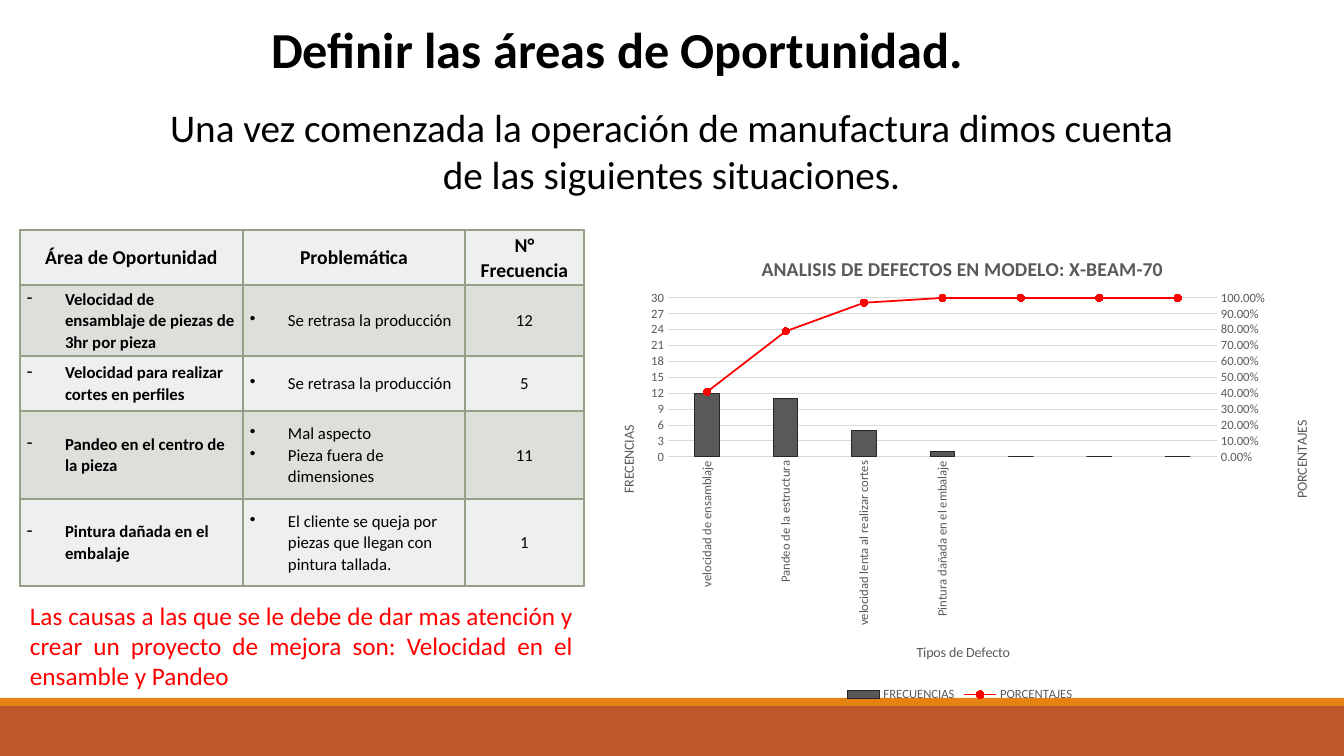
from copy import deepcopy

from lxml import etree
from pptx import Presentation, util as u
from pptx.chart.data import CategoryChartData
from pptx.dml.color import RGBColor
from pptx.enum import chart as ch, shapes, text
from pptx.oxml import parse_xml
from pptx.oxml.ns import nsdecls, qn

BLACK, RED, GRAY, PALE = "000000", "FF0000", "595959", "D9D9D9"
CENTER, JUSTIFY = text.PP_ALIGN.CENTER, text.PP_ALIGN.JUSTIFY
CHART_BOX = (595, 230, 730, 479)
HEADINGS = ["Área de Oportunidad", "Problemática", "N° Frecuencia"]
PROBLEMS = [
    ("Velocidad de ensamblaje de piezas de 3hr por pieza", ["Se retrasa la producción"], "12"),
    ("Velocidad para realizar cortes en perfiles", ["Se retrasa la producción"], "5"),
    ("Pandeo en el centro de la pieza", ["Mal aspecto", "Pieza fuera de dimensiones"], "11"),
    ("Pintura dañada en el embalaje",
     ["El cliente se queja por piezas que llegan con pintura tallada."], "1"),
]
DEFECTS = ["velocidad de ensamblaje", "Pandeo de la estructura",
           "velocidad lenta al realizar cortes", "Pintura dañada en el embalaje", "", "", ""]
COUNTS = [12, 11, 5, 1, 0, 0, 0]
SHARES = [0.41, 0.79, 0.97, 1, 1, 1, 1]


def px(value):
    return u.Emu(round(value * 914400 / 100.8))


def rgb(value):
    return RGBColor.from_string(value)


def set_fill(fill, color):
    fill.solid()
    fill.fore_color.rgb = rgb(color)


def set_line(line, color, points):
    line.color.rgb, line.width = rgb(color), u.Pt(points)


def drop(parent, tag):
    for child in parent.findall(qn(tag)):
        parent.remove(child)


def place(element, left, top, *size):
    """Pin a chart part to slide coordinates given in px."""
    x0, y0, width, height = CHART_BOX
    shares = zip("xywh", (left - x0, top - y0, *size), (width, height) * 2)
    marks = [("xMode", "edge"), ("yMode", "edge")]
    marks += [(name, round(part / whole, 4)) for name, part, whole in shares]
    drop(element, "c:layout")
    layout = etree.Element(qn("c:layout"))
    if element.tag == qn("c:plotArea"):
        marks.insert(0, ("layoutTarget", "inner"))
        element.insert(0, layout)
    else:
        element.find(qn("c:overlay")).addprevious(layout)
    manual = etree.SubElement(layout, qn("c:manualLayout"))
    for name, value in marks:
        etree.SubElement(manual, qn("c:" + name)).set("val", str(value))


class Slide:
    def __init__(self, deck, font):
        self.page = deck.slides.add_slide(deck.slide_layouts[6])
        self.font = font

    def style(self, font, size, color, bold=False):
        font.name, font.size, font.bold = self.font, u.Pt(size), bold
        font.color.rgb = rgb(color)

    def run(self, para, words, size, color, bold=False):
        span = para.add_run()
        span.text = words
        self.style(span.font, size, color, bold)

    def band(self, top, height, color):
        area = map(px, (0, top, 1344, height))
        box = self.page.shapes.add_shape(shapes.MSO_SHAPE.RECTANGLE, *area)
        box.shadow.inherit = False
        set_fill(box.fill, color)
        box.line.fill.background()

    def textbox(self, area, words, size, color, align, bold=False):
        frame = self.page.shapes.add_textbox(*map(px, area)).text_frame
        frame.word_wrap = True
        frame.auto_size = text.MSO_AUTO_SIZE.SHAPE_TO_FIT_TEXT
        frame.paragraphs[0].alignment = align
        self.run(frame.paragraphs[0], words, size, color, bold)

    def cell(self, cell, lines, fill, size, bold=False, bullet=None):
        cell.vertical_anchor = text.MSO_ANCHOR.MIDDLE
        cell.margin_left = cell.margin_right = px(7)
        cell.margin_top = cell.margin_bottom = 0
        frame = cell.text_frame
        for number, words in enumerate(lines, 1):
            para = frame.paragraphs[0] if number == 1 else frame.add_paragraph()
            para.line_spacing = 1.05
            if number == len(lines) and bullet != "-":
                para.space_after = u.Pt(8)
            if bullet:
                props = para._p.get_or_add_pPr()
                props.set("marL", str(px(38)))
                props.set("indent", str(-px(38)))
                etree.SubElement(props, qn("a:buChar")).set("char", bullet)
            else:
                para.alignment = CENTER
            self.run(para, words, size, BLACK, bold)
        for side in "LRTB":
            cell._tc.get_or_add_tcPr().append(parse_xml(
                f'<a:ln{side} {nsdecls("a")} w="12700"><a:solidFill>'
                f'<a:srgbClr val="94A088"/></a:solidFill></a:ln{side}>'))
        set_fill(cell.fill, fill)

    def problem_table(self, area, widths, heights):
        table = self.page.shapes.add_table(len(heights), len(widths), *map(px, area)).table
        table.first_row = table.horz_banding = False
        for column, width in zip(table.columns, widths):
            column.width = px(width)
        for row, height in zip(table.rows, heights):
            row.height = px(height)
        fills = ["EEF0ED", "DCDFDA"]
        for column, heading in enumerate(HEADINGS):
            self.cell(table.cell(0, column), [heading], fills[0], 14, bold=True)
        for row, (name, issues, count) in enumerate(PROBLEMS, 1):
            self.cell(table.cell(row, 0), [name], fills[row % 2], 12, True, "-")
            self.cell(table.cell(row, 1), issues, fills[row % 2], 12, bullet="•")
            self.cell(table.cell(row, 2), [count], fills[row % 2], 12)

    def chart_title(self, title, words, size, left, top, bold=False, turn=0):
        self.run(title.text_frame.paragraphs[0], words, size, GRAY, bold)
        title._element.find(".//" + qn("a:bodyPr")).set("rot", str(turn * 60000))
        place(title._element, left, top)

    def pareto_chart(self):
        data = CategoryChartData()
        data.categories = DEFECTS
        data.add_series("FRECUENCIAS", COUNTS, "General")
        data.add_series("PORCENTAJES", SHARES, "0.00%")
        chart = self.page.shapes.add_chart(
            ch.XL_CHART_TYPE.COLUMN_CLUSTERED, *map(px, CHART_BOX), data).chart
        self.style(chart.font, 10, BLACK)
        self.chart_title(chart.chart_title, "ANALISIS DE DEFECTOS EN MODELO: X-BEAM-70",
                         14, 758, 252, bold=True)
        chart.has_legend = True
        chart.legend.position = ch.XL_LEGEND_POSITION.BOTTOM
        chart.legend.include_in_layout = False
        self.style(chart.legend.font, 9, GRAY)
        place(chart.legend._element, 842, 688, 236, 19)
        kinds, counts = chart.category_axis, chart.value_axis
        for axis in (kinds, counts):
            axis.major_tick_mark = axis.minor_tick_mark = ch.XL_TICK_MARK.NONE
            self.style(axis.tick_labels.font, 9, GRAY)
        set_line(kinds.format.line, PALE, 0.75)
        kinds._element.find(qn("c:txPr")).find(qn("a:bodyPr")).set("rot", "-5400000")
        counts.minimum_scale, counts.maximum_scale, counts.major_unit = 0, 30, 3
        counts.format.line.fill.background()
        set_line(counts.major_gridlines.format.line, PALE, 0.75)
        counts.tick_labels.number_format = "General"
        counts.tick_labels.number_format_is_linked = False
        self.chart_title(kinds.axis_title, "Tipos de Defecto", 10, 914, 641)
        self.chart_title(counts.axis_title, "FRECENCIAS", 10, 617, 423, turn=-90)
        bars = chart.plots[0]
        bars.gap_width, bars.vary_by_categories = 219, False
        set_fill(bars.series[0].format.fill, GRAY)
        set_line(bars.series[0].format.line, "262626", 0.75)
        self.add_percent_line(chart, bars, kinds._element, counts._element)
        place(bars._element.getparent(), 668, 298, 549, 159)

    def add_percent_line(self, chart, bars, kinds, counts):
        """Move the second series to a line on its own right-hand axis."""
        series = bars.series[1]._element
        drop(series, "c:invertIfNegative")
        line_plot = parse_xml(
            f'<c:lineChart {nsdecls("c")}><c:grouping val="standard"/><c:varyColors val="0"/>'
            '<c:marker val="1"/><c:axId val="501"/><c:axId val="502"/></c:lineChart>')
        bars._element.addnext(line_plot)
        line_plot.insert(2, series)
        shares, hidden = deepcopy(counts), deepcopy(kinds)
        counts.addnext(shares)
        shares.addnext(hidden)
        drop(hidden, "c:title")
        for axis, values in (
                (hidden, dict(axId=501, crossAx=502, delete=1)),
                (shares, dict(axId=502, crossAx=501, axPos="r", crosses="max", majorUnit=0.1)),
                (shares.find(qn("c:scaling")), dict(max=1))):
            for name, value in values.items():
                axis.find(qn("c:" + name)).set("val", str(value))
        shares.find(qn("c:numFmt")).set("formatCode", "0.00%")
        shares.find(".//" + qn("a:t")).text = "PORCENTAJES"
        place(shares.find(qn("c:title")), 1290, 418)
        percent = chart.plots[1].series[0]
        percent.smooth = False
        set_line(percent.format.line, RED, 1.25)
        percent.marker.style, percent.marker.size = ch.XL_MARKER_STYLE.CIRCLE, 5
        set_fill(percent.marker.format.fill, RED)
        set_line(percent.marker.format.line, RED, 0.75)


deck = Presentation()
deck.slide_width, deck.slide_height = px(1344), px(756)
slide = Slide(deck, "Calibri")
slide.band(706, 50, "BD582C")
slide.band(698, 8, "E48312")
slide.problem_table((20, 230, 564, 356), (223, 222, 119), (55, 71, 55, 88, 87))
slide.textbox((32, 13, 1171, 71), "Definir las áreas de Oportunidad.", 36, BLACK, CENTER, True)
slide.textbox((140, 98, 1063, 105), "Una vez comenzada la operación de manufactura dimos "
              "cuenta de las siguientes situaciones.", 28, BLACK, CENTER)
slide.pareto_chart()
slide.textbox((20, 595, 563, 102), "Las causas a las que se le debe de dar mas atención y crear "
              "un proyecto de mejora son: Velocidad en el ensamble y Pandeo", 18, RED, JUSTIFY)
deck.save("out.pptx")
